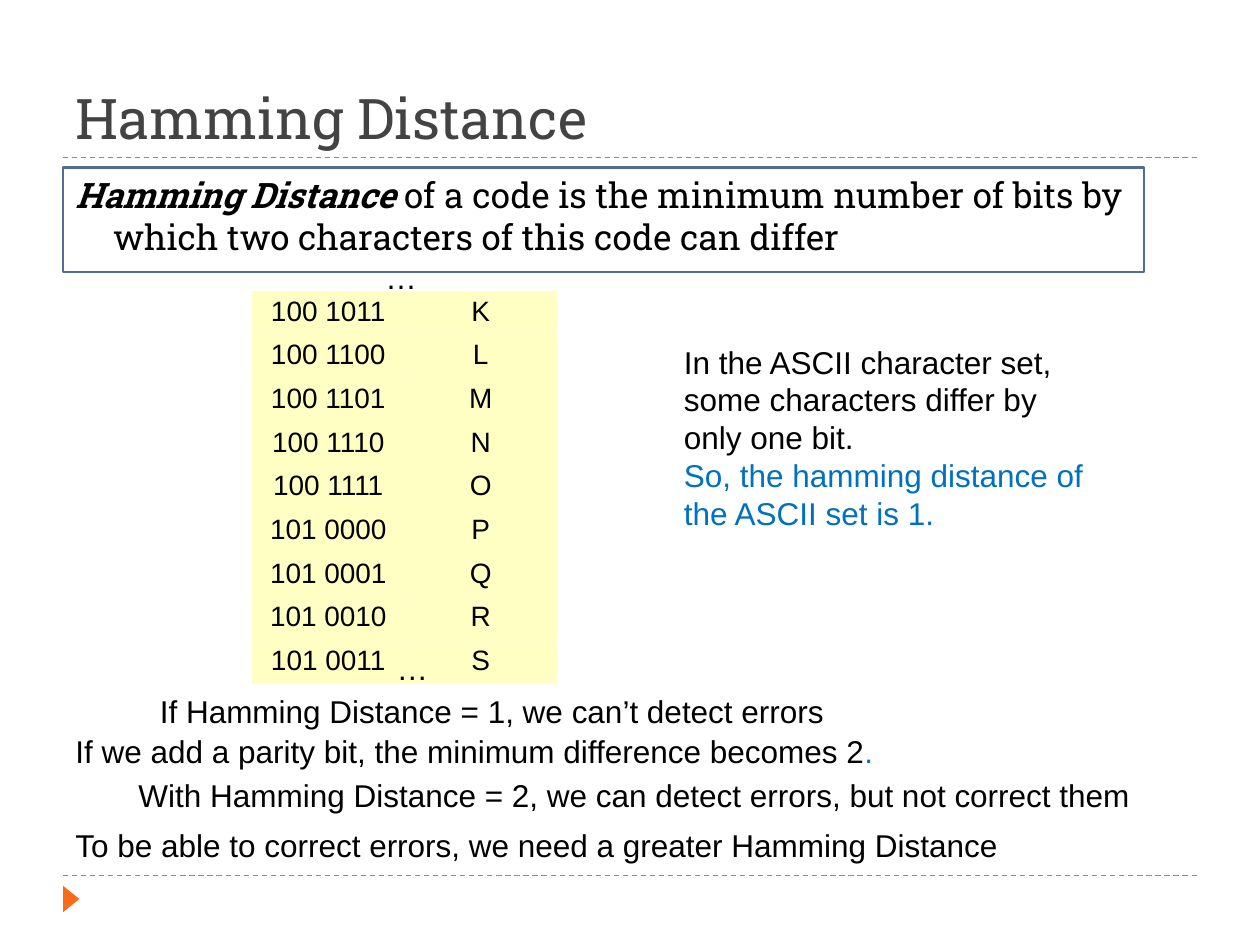
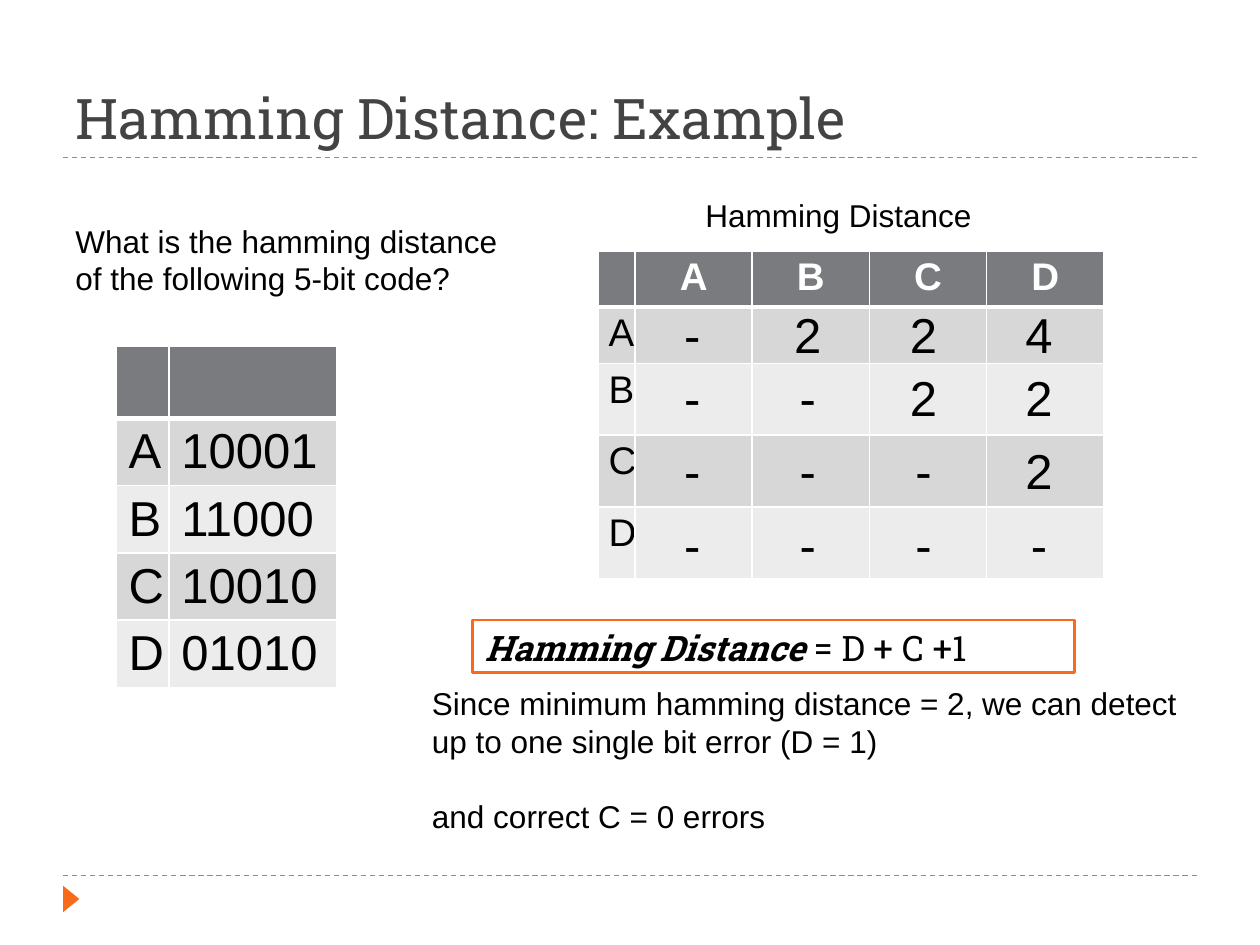
from lxml.etree import SubElement
from pptx import Presentation
from pptx.dml.color import RGBColor
from pptx.enum.dml import MSO_LINE
from pptx.enum.shapes import MSO_CONNECTOR, MSO_SHAPE
from pptx.enum.text import MSO_ANCHOR, MSO_AUTO_SIZE, PP_ALIGN
from pptx.oxml import parse_xml
from pptx.oxml.ns import nsdecls, qn
from pptx.util import Inches, Pt

# Colours and fonts
ORANGE = RGBColor(0xF9, 0x6A, 0x1B)
BLUE = RGBColor(0x00, 0x70, 0xC0)
STEEL = RGBColor(0x50, 0x6E, 0x94)
TITLE_GRAY = RGBColor(0x43, 0x43, 0x43)
HEADER_GRAY = RGBColor(0x79, 0x7B, 0x7E)
BANDS = [RGBColor(0xD7, 0xD7, 0xD8), RGBColor(0xEC, 0xEC, 0xEC)]
YELLOW = RGBColor(0xFF, 0xFF, 0x99)
BLACK = RGBColor(0, 0, 0)
WHITE = RGBColor(0xFF, 0xFF, 0xFF)
SANS, SLAB = "Arial", "Roboto Slab"
NO_STYLE = "{2D5ABB26-0587-4C30-8999-92F81FD0307C}"

BODY = dict(name=SANS, size=Pt(18), color=BLACK)
HEADING = dict(name=SLAB, size=Pt(32), color=TITLE_GRAY)
CALLOUT = dict(name=SLAB, size=Pt(20), color=BLACK)
TERM = dict(CALLOUT, bold=True, italic=True)
ASCII = dict(BODY, size=Pt(16))
CODE = dict(BODY, size=Pt(28))
LABEL = dict(BODY, size=Pt(22))
COLUMN = dict(LABEL, color=WHITE, bold=True)
TIGHT = (0.08, 0.04)
NORMAL = (0.1, 0.05)

# Content: a paragraph is a list of (text, format) runs
ASCII_LETTERS = "KLMNOPQRS"
ASCII_BOX = (2, 2.31, 2.42, 3.09)
DEFINITION = [("Hamming Distance", TERM),
              (" of a code is the minimum number of bits by which two "
               "characters of this code can differ", CALLOUT)]
DISTANCE_NOTES = [  # box, wrap, paragraphs
    ((5.33, 2.67, 3.46, 1.62), True,
     [[("In the ASCII character set, some characters differ by only one bit.", BODY)],
      [("So, the hamming distance of the ASCII set is 1.", dict(BODY, color=BLUE))]]),
    ((1.17, 5.44, 5.52, 0.4), False,
     [[("If Hamming Distance = 1, we can’t detect errors", BODY)]]),
    ((0.5, 5.76, 7.75, 0.4), True,
     [[("If we add a parity bit, the minimum difference becomes 2", BODY),
       (".", dict(BODY, color=BLUE))]]),
    ((1, 6.11, 8.15, 0.4), False,
     [[("With Hamming Distance = 2, we can detect errors, but not correct them", BODY)]]),
    ((0.5, 6.51, 8.17, 0.4), True,
     [[("To be able to correct errors, we need a greater Hamming Distance", BODY)]]),
]
ELLIPSES = [(2.96, 2, 0.45, 0.4), (3.05, 5.1, 0.45, 0.4)]

CODES = {"A": "10001", "B": "11000", "C": "10010", "D": "01010"}
FORMULA = [("Hamming Distance", TERM), (" = D + C +1", CALLOUT)]
EXAMPLE_NOTES = [  # box, paragraphs, space between paragraphs
    ((0.5, 1.71, 3.92, 0.71),
     [[("What is the hamming distance", BODY)], [("of the following 5-bit code?", BODY)]], 0),
    ((5.5, 1.51, 2.58, 0.4), [[("Hamming Distance", BODY)]], 0),
    ((3.33, 5.38, 6.42, 1.31),
     [[("Since minimum hamming distance = 2, we can detect up to one single bit error (D = 1)",
        BODY)],
      [("and correct C = 0 errors", BODY)]], 21.6),
]
SCORE_LEFT, SCORE_STEP = 5.33, 0.917
SCORE_TOPS = [2.42, 2.92, 3.5, 4.08]


def inches(*values):
    return [Inches(v) for v in values]


def add_runs(p, runs):
    for text, fmt in runs:
        r = p.add_run()
        r.text = text
        for key, value in fmt.items():
            if key == "color":
                r.font.color.rgb = value
            else:
                setattr(r.font, key, value)


def set_margins(target, margins):
    x, y = inches(*margins)
    for side, value in dict(left=x, right=x, top=y, bottom=y).items():
        setattr(target, f"margin_{side}", value)


def add_text(s, box, paragraphs, wrap=True, gap=0, margins=NORMAL, align=None):
    tf = s.shapes.add_textbox(*inches(*box)).text_frame
    tf.word_wrap = wrap
    set_margins(tf, margins)
    for i, runs in enumerate(paragraphs):
        p = tf.add_paragraph() if i else tf.paragraphs[0]
        p.alignment = align
        if i and gap:
            p.space_before = Pt(gap)
        add_runs(p, runs)


def add_callout(s, box, runs, color):
    sp = s.shapes.add_shape(MSO_SHAPE.RECTANGLE, *inches(*box))
    sp.shadow.inherit = False
    sp.fill.solid()
    sp.fill.fore_color.rgb = WHITE
    sp.line.color.rgb = color
    sp.line.width = Pt(1.5)
    tf = sp.text_frame
    tf.word_wrap = True
    tf.vertical_anchor = MSO_ANCHOR.TOP
    p = tf.paragraphs[0]
    p.alignment = PP_ALIGN.LEFT
    pPr = p._p.get_or_add_pPr()
    pPr.set("marL", str(Inches(0.3)))
    pPr.set("indent", str(-Inches(0.3)))
    add_runs(p, runs)


def add_plain_table(s, left, top, widths, heights):
    table = s.shapes.add_table(len(heights), len(widths), *inches(
        left, top, sum(widths), sum(heights))).table
    table.first_row = table.horz_banding = False
    table._tbl.tblPr.find(qn("a:tableStyleId")).text = NO_STYLE
    for col, width in zip(table.columns, widths):
        col.width = Inches(width)
    for row, height in zip(table.rows, heights):
        row.height = Inches(height)
    return table


def fill_cell(cell, color, text="", fmt=BODY, margins=NORMAL, align=None):
    cell.fill.solid()
    cell.fill.fore_color.rgb = color
    set_margins(cell, margins)
    p = cell.text_frame.paragraphs[0]
    p.alignment = align
    if text:
        add_runs(p, [(text, fmt)])
    else:
        p.font.size = fmt["size"]


def add_borders(cell, top, bottom):
    tcPr = cell._tc.get_or_add_tcPr()
    for i, (side, width) in enumerate(dict(L=1, R=1, T=top, B=bottom).items()):
        tcPr.insert(i, parse_xml(
            f'<a:ln{side} {nsdecls("a")} w="{Pt(width)}"><a:solidFill>'
            f'<a:srgbClr val="{WHITE}"/></a:solidFill></a:ln{side}>'))


def add_banded_table(s, left, top, widths, heights, rows, style):
    """style(row, column) gives the cell's text format."""
    table = add_plain_table(s, left, top, widths, heights)
    for i, row in enumerate(rows):
        for j, text in enumerate(row):
            cell = table.cell(i, j)
            color = BANDS[(i - 1) % 2] if i else HEADER_GRAY
            fill_cell(cell, color, text, **style(i, j))
            add_borders(cell, top=3 if i == 1 else 1, bottom=1 if i else 3)


def add_slide(prs, title):
    s = prs.slides.add_slide(prs.slide_layouts[5])
    # Dashed rules
    for y in (6.95, 1.25):
        line = s.shapes.add_connector(MSO_CONNECTOR.STRAIGHT, *inches(0.5, y, 9.5, y))
        line.line.color.rgb = ORANGE
        line.line.width = Pt(0.75)
        line.line.dash_style = MSO_LINE.DASH
        SubElement(line._element.spPr, qn("a:effectLst"))
    # Footer marker
    sp = s.shapes.add_shape(MSO_SHAPE.ISOSCELES_TRIANGLE, *inches(0.46, 7.07, 0.21, 0.13))
    sp.rotation = 90
    sp.shadow.inherit = False
    sp.fill.solid()
    sp.fill.fore_color.rgb = ORANGE
    sp.line.fill.background()
    # Title
    sp = s.shapes.title
    sp.left, sp.top, sp.width, sp.height = inches(0.5, 0.17, 9, 1.08)
    tf = sp.text_frame
    tf.auto_size = MSO_AUTO_SIZE.NONE
    tf.vertical_anchor = MSO_ANCHOR.BOTTOM
    tf.paragraphs[0].alignment = PP_ALIGN.LEFT
    add_runs(tf.paragraphs[0], [(title, HEADING)])
    return s


def build_distance(prs):
    s = add_slide(prs, "Hamming Distance")
    add_callout(s, (0.5, 1.33, 8.58, 0.83), DEFINITION, STEEL)
    for box, wrap, paragraphs in DISTANCE_NOTES:
        add_text(s, box, paragraphs, wrap)
    # ASCII codes
    left, top, width, height = ASCII_BOX
    count = len(ASCII_LETTERS)
    table = add_plain_table(s, left, top, [width / 2] * 2, [height / count] * count)
    for i, letter in enumerate(ASCII_LETTERS):
        bits = f"{ord(letter):07b}"
        for j, text in enumerate((f"{bits[:3]} {bits[3:]}", letter)):
            cell = table.cell(i, j)
            fill_cell(cell, YELLOW, text, ASCII, TIGHT, PP_ALIGN.CENTER)
            rgb = cell._tc.tcPr.find(".//" + qn("a:srgbClr"))
            SubElement(rgb, qn("a:alpha"), val="59000")
    for box in ELLIPSES:
        add_text(s, box, [[("…", BODY)]], wrap=False)


def code_style(i, j):
    return dict(fmt=CODE if i else BODY)


def grid_style(i, j):
    if i == 0 and j:
        return dict(fmt=COLUMN, margins=TIGHT, align=PP_ALIGN.CENTER)
    return dict(fmt=BODY if j or not i else LABEL, margins=TIGHT)


def build_example(prs):
    s = add_slide(prs, "Hamming Distance: Example")
    names = list(CODES)
    add_banded_table(s, 0.92, 2.75, [0.42, 1.33], [0.57] + [0.53] * 4,
                     [("", ""), *CODES.items()], code_style)
    for box, paragraphs, gap in EXAMPLE_NOTES:
        add_text(s, box, paragraphs, gap=gap)
    add_banded_table(s, 4.75, 1.99, [0.29] + [0.93] * 4, [0.44] * 2 + [0.57] * 3,
                     [["", *names]] + [[name] + [""] * 4 for name in names], grid_style)
    # Pairwise distances above the diagonal
    for i, (a, top) in enumerate(zip(CODES.values(), SCORE_TOPS)):
        for j, b in enumerate(CODES.values()):
            score = str(sum(x != y for x, y in zip(a, b))) if j > i else "-"
            add_text(s, (SCORE_LEFT + j * SCORE_STEP, top, 0.33, 0.47), [[(score, CODE)]],
                     margins=(0.04, 0), align=PP_ALIGN.CENTER)
    add_callout(s, (3.75, 4.92, 4.78, 0.42), FORMULA, ORANGE)


def main():
    prs = Presentation()
    prs.slide_width, prs.slide_height = inches(10, 7.5)
    build_distance(prs)
    build_example(prs)
    prs.save("out.pptx")


if __name__ == "__main__":
    main()
